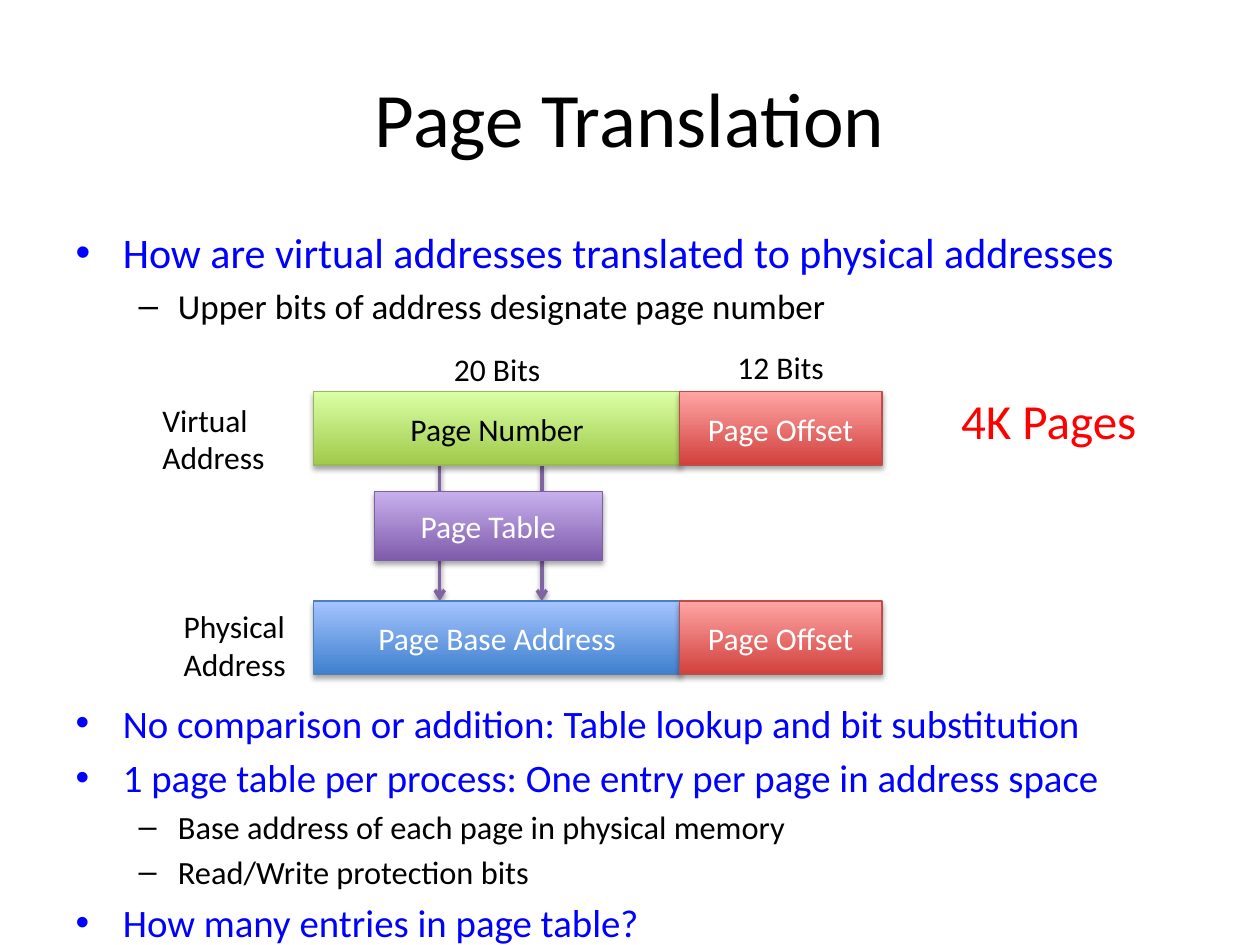
import dataclasses

import lxml.etree
import pptx
import pptx.dml.color
import pptx.enum.shapes
import pptx.enum.text
import pptx.oxml.ns
import pptx.util

Inches = pptx.util.Inches
Pt = pptx.util.Pt
qn = pptx.oxml.ns.qn
LEFT = pptx.enum.text.PP_ALIGN.LEFT
CENTER = pptx.enum.text.PP_ALIGN.CENTER
MIDDLE = pptx.enum.text.MSO_ANCHOR.MIDDLE
AUTO = pptx.enum.text.MSO_AUTO_SIZE

BLACK, WHITE, BLUE, RED, PURPLE = "000000", "FFFFFF", "0000FF", "FF0000", "8064A2"
FIELD_LEFT, NUMBER_WIDTH, OFFSET_WIDTH, FIELD_HEIGHT = 2.49, 2.91, 1.61, 0.58
OFFSET_LEFT = 5.39
VIRTUAL_TOP, PHYSICAL_TOP = 3.11, 4.77


@dataclasses.dataclass(frozen=True)
class Style:
    bottom: str
    top: str
    outline: str
    text: str = WHITE


@dataclasses.dataclass(frozen=True)
class Field:
    text: str
    left: float
    top: float
    width: float
    style: Style
    height: float = FIELD_HEIGHT


@dataclasses.dataclass(frozen=True)
class Label:
    text: str
    left: float
    top: float
    width: float
    height: float
    size: float = 18
    color: str = BLACK
    wrap: bool = False


@dataclasses.dataclass(frozen=True)
class Point:
    text: str
    level: int = 0


GREEN_FIELD = Style("A0CA4A", "DAFFA5", "98B955", BLACK)
RED_FIELD = Style("D1403C", "FFA6A5", "BF4C48")
BLUE_FIELD = Style("3F80CE", "A4C4FF", "4B7EBC")
PURPLE_FIELD = Style("7F5BAB", "C8B0ED", "7D60A0")

ADDRESS_FIELDS = [
    Field("Page Number", FIELD_LEFT, VIRTUAL_TOP, NUMBER_WIDTH, GREEN_FIELD),
    Field("Page Offset", OFFSET_LEFT, VIRTUAL_TOP, OFFSET_WIDTH, RED_FIELD),
    Field("Page Base Address", FIELD_LEFT, PHYSICAL_TOP, NUMBER_WIDTH, BLUE_FIELD),
    Field("Page Offset", OFFSET_LEFT, PHYSICAL_TOP, OFFSET_WIDTH, RED_FIELD),
]
PAGE_TABLE = Field("Page Table", 2.97, 3.9, 1.81, PURPLE_FIELD, 0.55)
LOOKUP_XS = [3.49, 4.3]
LABELS = [
    Label("Virtual\nAddress", 1.19, 3.13, 1.03, 0.71),
    Label("Physical\nAddress", 1.36, 4.77, 1.03, 0.71),
    Label("20 Bits", FIELD_LEFT, 2.73, NUMBER_WIDTH, 0.4, wrap=True),
    Label("12 Bits", OFFSET_LEFT, 2.71, OFFSET_WIDTH, 0.4, wrap=True),
    Label("4K Pages", 7.53, 3.05, 1.65, 0.57, 28, RED),
]
QUESTION = [
    Point("How are virtual addresses translated to physical addresses"),
    Point("Upper bits of address designate page number", 1),
]
ANSWERS = [
    Point("No comparison or addition: Table lookup and bit substitution"),
    Point("1 page table per process: One entry per page in address space"),
    Point("Base address of each page in physical memory", 1),
    Point("Read/Write protection bits", 1),
    Point("How many entries in page table?"),
]


def rgb(value: str) -> pptx.dml.color.RGBColor:
    return pptx.dml.color.RGBColor.from_string(value)


def write(frame, text: str, *, size: float, color: str, align=None, level: int = 0) -> None:
    for line in text.split("\n"):
        paragraph = frame.add_paragraph() if frame.text else frame.paragraphs[0]
        paragraph.level = level
        paragraph.alignment = align
        run = paragraph.add_run()
        run.text = line
        run.font.name = "Calibri"
        run.font.size = Pt(size)
        run.font.color.rgb = rgb(color)


def place(shape, left: float, top: float, width: float, height: float) -> None:
    shape.left, shape.top = Inches(left), Inches(top)
    shape.width, shape.height = Inches(width), Inches(height)


def add_shadow(shape, distance: float, opacity: int) -> None:
    properties = shape.element.spPr
    effects = properties.find(qn("a:effectLst"))
    if effects is None:
        effects = lxml.etree.SubElement(properties, qn("a:effectLst"))
    shadow = lxml.etree.SubElement(
        effects, qn("a:outerShdw"), blurRad=str(Pt(3.1)), dist=str(Pt(distance)),
        dir="5400000", rotWithShape="0")
    tint = lxml.etree.SubElement(shadow, qn("a:srgbClr"), val=BLACK)
    lxml.etree.SubElement(tint, qn("a:alpha"), val=str(opacity * 1000))


def add_field(shapes, field: Field) -> None:
    box = shapes.add_shape(
        pptx.enum.shapes.MSO_SHAPE.RECTANGLE, Inches(field.left), Inches(field.top),
        Inches(field.width), Inches(field.height))
    box.fill.gradient()
    box.fill.gradient_angle = 90
    for stop, color in zip(box.fill.gradient_stops, (field.style.bottom, field.style.top)):
        stop.color.rgb = rgb(color)
    box.line.color.rgb = rgb(field.style.outline)
    box.line.width = Pt(0.75)
    box.shadow.inherit = False
    add_shadow(box, 1.8, 35)
    box.text_frame.word_wrap = True
    box.text_frame.vertical_anchor = MIDDLE
    write(box.text_frame, field.text, size=18, color=field.style.text, align=CENTER)


def add_lookup(shapes, x: float) -> None:
    arrow = shapes.add_connector(
        pptx.enum.shapes.MSO_CONNECTOR.STRAIGHT, Inches(x),
        Inches(VIRTUAL_TOP + FIELD_HEIGHT), Inches(x), Inches(PHYSICAL_TOP))
    arrow.line.color.rgb = rgb(PURPLE)
    arrow.line.width = Pt(2)
    lxml.etree.SubElement(arrow.element.spPr.find(qn("a:ln")), qn("a:tailEnd"), type="arrow")
    add_shadow(arrow, 1.6, 38)


def add_label(shapes, label: Label) -> None:
    box = shapes.add_textbox(
        Inches(label.left), Inches(label.top), Inches(label.width), Inches(label.height))
    box.text_frame.word_wrap = label.wrap
    box.text_frame.auto_size = AUTO.SHAPE_TO_FIT_TEXT
    write(box.text_frame, label.text, size=label.size, color=label.color,
          align=CENTER if label.wrap else LEFT)


def fill_list(body, points: list[Point], sizes: tuple[float, float]) -> None:
    body.text_frame.auto_size = AUTO.NONE
    for point in points:
        write(body.text_frame, point.text, size=sizes[point.level],
              color=(BLUE, BLACK)[point.level], level=point.level)


presentation = pptx.Presentation()
presentation.slide_width, presentation.slide_height = Inches(10), Inches(7.5)
slide = presentation.slides.add_slide(presentation.slide_layouts[3])

title = slide.shapes.title
place(title, 0.5, 0.3, 9, 1.25)
title.text_frame.vertical_anchor = MIDDLE
write(title.text_frame, "Page Translation", size=44, color=BLACK, align=CENTER)

question, answers = slide.placeholders[1], slide.placeholders[2]
place(question, 0.5, 1.75, 9, 1.11)
fill_list(question, QUESTION, (24, 20))
place(answers, 0.5, 5.5, 9, 2)
fill_list(answers, ANSWERS, (22.2, 18.5))

diagram = slide.shapes.add_group_shape().shapes
for lookup_x in LOOKUP_XS:
    add_lookup(diagram, lookup_x)
for address_field in [*ADDRESS_FIELDS, PAGE_TABLE]:
    add_field(diagram, address_field)
for diagram_label in LABELS:
    add_label(diagram, diagram_label)

presentation.save("out.pptx")
